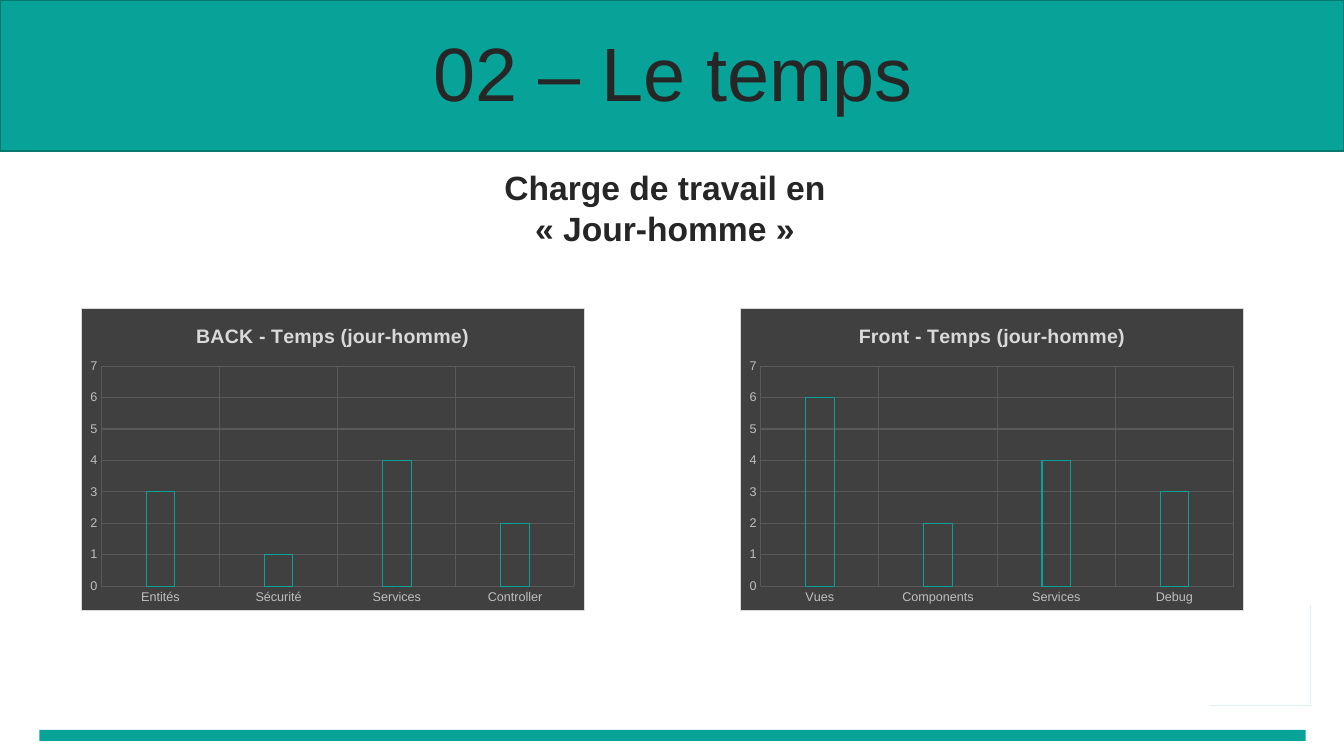
from dataclasses import dataclass
from math import cos, radians, sin

from lxml.etree import SubElement
from pptx import Presentation
from pptx.chart.axis import _BaseAxis
from pptx.chart.chart import Chart
from pptx.chart.data import CategoryChartData
from pptx.dml.color import RGBColor
from pptx.enum.chart import XL_CHART_TYPE, XL_TICK_MARK
from pptx.enum.shapes import MSO_SHAPE
from pptx.enum.text import MSO_ANCHOR, MSO_AUTO_SIZE, PP_ALIGN
from pptx.oxml import parse_xml
from pptx.oxml.ns import nsdecls, qn
from pptx.slide import Slide
from pptx.text.text import Font
from pptx.util import Inches, Pt

TEAL, DARK_TEAL, INK = "07A398", "057970", "262626"
PANEL, GRID, LABEL, PALE = "404040", "595959", "BFBFBF", "D9D9D9"

Point = tuple[float, float]


@dataclass
class Band:
    left: float
    top: float
    width: float
    height: float
    border: str | None = None


@dataclass
class Workload:
    left: float
    heading: str
    days: dict[str, int]


BANDS = [
    Band(0.39, 7.24, 12.56, 0.11),
    Band(0, 0, 13.33, 1.5, DARK_TEAL),
]
WORKLOADS = [
    Workload(0.8, "BACK - Temps (jour-homme)",
             {"Entités": 3, "Sécurité": 1, "Services": 4, "Controller": 2}),
    Workload(7.34, "Front - Temps (jour-homme)",
             {"Vues": 6, "Components": 2, "Services": 4, "Debug": 3}),
]
FRONT_WHEEL, REAR_WHEEL = (12.3, 7.14), (12.61, 7.14)
TYRE, HUB = 0.1, 0.04


def color(value: str) -> RGBColor:
    return RGBColor.from_string(value)


def style(font: Font, size: float, ink: str, bold: bool = False) -> None:
    font.name, font.size, font.bold = "Arial", Pt(size), bold
    font.color.rgb = color(ink)


def draw_band(slide: Slide, band: Band) -> None:
    bar = slide.shapes.add_shape(
        MSO_SHAPE.RECTANGLE, Inches(band.left), Inches(band.top),
        Inches(band.width), Inches(band.height))
    bar.shadow.inherit = False
    bar.fill.solid()
    bar.fill.fore_color.rgb = color(TEAL)
    if band.border:
        bar.line.color.rgb = color(band.border)
        bar.line.width = Pt(1)
    else:
        bar.line.fill.background()


def arc(center: Point, radius: float, start: int, end: int) -> list[Point]:
    steps = 24
    angles = [radians(start + (end - start) * i / steps) for i in range(steps + 1)]
    return [(center[0] + radius * cos(a), center[1] + radius * sin(a)) for a in angles]


def draw_cart(slide: Slide) -> None:
    frame = [
        (12.93, 6.49), (12.8, 6.52), (12.78, 6.59), (12.11, 6.59), (12.18, 7),
        (12.63, 7), (12.61, 7.05),
        *arc(REAR_WHEEL, TYRE, -90, -155),
        *arc(FRONT_WHEEL, TYRE, -25, -335),
        *arc(REAR_WHEEL, TYRE, 155, -40),
        (12.86, 6.58), (12.95, 6.56),
    ]
    openings = [
        [(12.75, 6.66), (12.66, 6.92), (12.24, 6.92), (12.19, 6.66)],
        arc(FRONT_WHEEL, HUB, 0, 360),
        arc(REAR_WHEEL, HUB, 0, 360),
    ]
    slats = [
        [(12.25, 6.81), (12.27, 6.88), (12.63, 6.89), (12.66, 6.82)],
        [(12.22, 6.71), (12.24, 6.78), (12.67, 6.78), (12.7, 6.71)],
    ]
    builder = slide.shapes.build_freeform(*frame[0], scale=Inches(1))
    builder.add_line_segments(frame[1:])
    for contour in openings + slats:
        builder.move_to(*contour[0])
        builder.add_line_segments(contour[1:])
    cart = builder.convert_to_shape()
    cart.shadow.inherit = False
    cart.fill.solid()
    cart.fill.fore_color.rgb = color(TEAL)
    cart.line.fill.background()


def write_title(slide: Slide) -> None:
    title = slide.shapes.title
    slide.shapes.element.append(title.element)
    title.left, title.top = Inches(0.35), Inches(0.37)
    title.width, title.height = Inches(12.66), Inches(0.79)
    title.text_frame.auto_size = MSO_AUTO_SIZE.NONE
    title.text_frame.vertical_anchor = MSO_ANCHOR.MIDDLE
    title.text_frame.text = "02 – Le temps"
    heading = title.text_frame.paragraphs[0]
    heading.alignment = PP_ALIGN.CENTER
    heading.line_spacing = 0.9
    style(heading.font, 54, INK)


def write_subtitle(slide: Slide) -> None:
    subtitle = slide.shapes.add_textbox(
        Inches(4.83), Inches(1.61), Inches(3.53), Inches(0.91)).text_frame
    subtitle.word_wrap = True
    subtitle.text = "Charge de travail en « Jour-homme »"
    subtitle.paragraphs[0].alignment = PP_ALIGN.CENTER
    style(subtitle.paragraphs[0].font, 24, INK, bold=True)


def style_axis(axis: _BaseAxis) -> None:
    axis.major_tick_mark = axis.minor_tick_mark = XL_TICK_MARK.NONE
    axis.format.line.fill.background()
    axis.has_major_gridlines = True
    grid = axis.major_gridlines.format.line
    grid.color.rgb = color(GRID)
    grid.width = Pt(0.75)
    style(axis.tick_labels.font, 9, LABEL)


def frame_chart(chart: Chart) -> None:
    body = chart.element.find(qn("c:chart"))
    body.addnext(parse_xml(
        f'<c:spPr {nsdecls("c", "a")}>'
        f'<a:solidFill><a:srgbClr val="{PANEL}"/></a:solidFill>'
        f'<a:ln w="9525"><a:solidFill><a:srgbClr val="{PALE}"/></a:solidFill></a:ln>'
        '</c:spPr>'))
    plot_area = body.find(qn("c:plotArea"))
    for automatic in plot_area.findall(qn("c:layout")):
        plot_area.remove(automatic)
    layout = parse_xml(f'<c:layout {nsdecls("c")}/>')
    manual = SubElement(layout, qn("c:manualLayout"))
    for tag, value in [("layoutTarget", "inner"), ("xMode", "edge"), ("yMode", "edge"),
                       ("x", "0.04"), ("y", "0.19"), ("w", "0.94"), ("h", "0.73")]:
        SubElement(manual, qn(f"c:{tag}")).set("val", value)
    plot_area.insert(0, layout)


def draw_workload(slide: Slide, workload: Workload) -> None:
    data = CategoryChartData()
    data.categories = list(workload.days)
    data.add_series("Series 1", list(workload.days.values()))
    chart = slide.shapes.add_chart(
        XL_CHART_TYPE.COLUMN_CLUSTERED, Inches(workload.left), Inches(3.06),
        Inches(5), Inches(3), data).chart
    style(chart.font, 10, "000000")
    chart.has_legend = False
    chart.has_title = True
    chart.chart_title.include_in_layout = False
    chart.chart_title.text_frame.text = workload.heading
    style(chart.chart_title.text_frame.paragraphs[0].font, 14, PALE, bold=True)
    for axis in (chart.category_axis, chart.value_axis):
        style_axis(axis)
    chart.value_axis.minimum_scale = 0
    chart.value_axis.maximum_scale = 7
    chart.value_axis.major_unit = 1
    columns = chart.plots[0]
    columns.gap_width, columns.overlap = 315, -40
    columns.vary_by_categories = False
    outline = columns.series[0].format
    outline.fill.background()
    outline.line.color.rgb = color(TEAL)
    outline.line.width = Pt(0.75)
    frame_chart(chart)


def main() -> None:
    deck = Presentation()
    deck.slide_width, deck.slide_height = Inches(13.33), Inches(7.5)
    slide = deck.slides.add_slide(deck.slide_layouts[5])
    draw_cart(slide)
    for band in BANDS:
        draw_band(slide, band)
    write_title(slide)
    write_subtitle(slide)
    for workload in WORKLOADS:
        draw_workload(slide, workload)
    deck.save("out.pptx")


if __name__ == "__main__":
    main()
